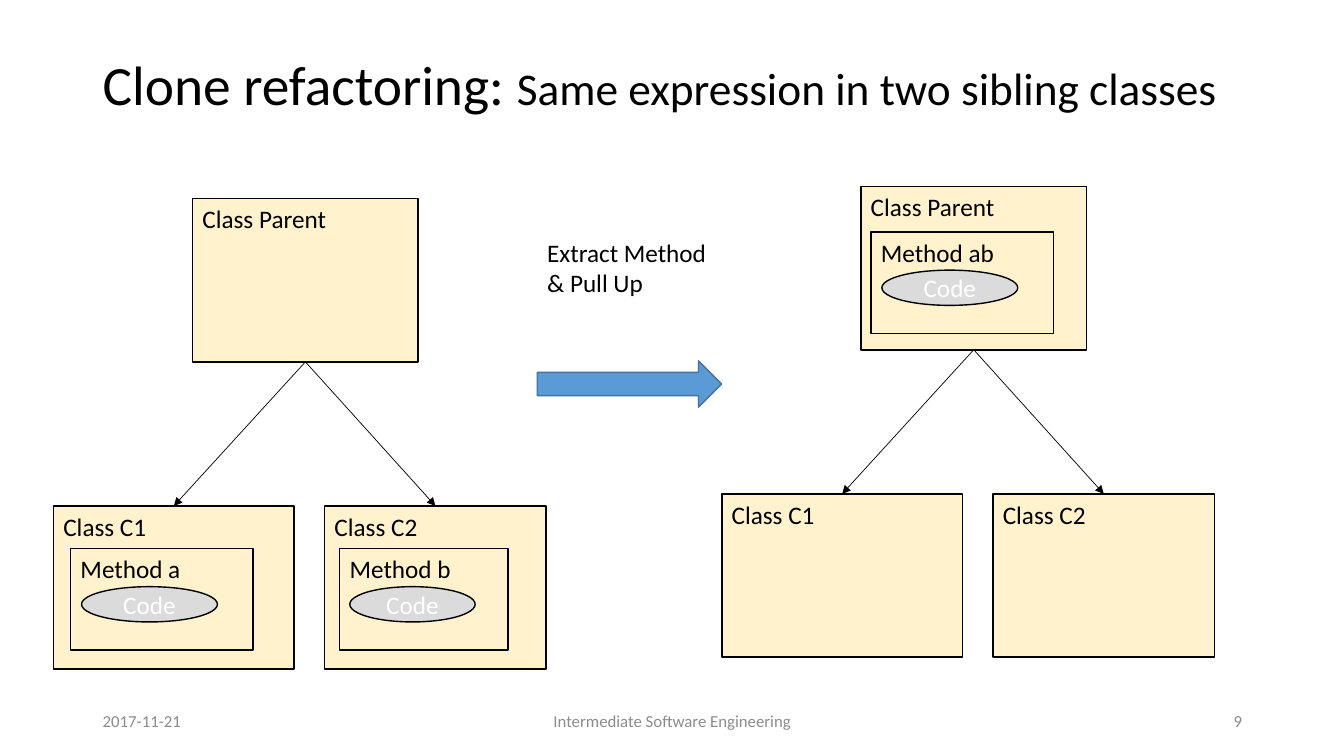
"""Draw a clone refactoring slide on a grid of tenths of an inch."""
from dataclasses import dataclass

from lxml import etree
from pptx import Presentation
from pptx import util as u
from pptx.dml.color import RGBColor
from pptx.enum import shapes, text
from pptx.oxml.ns import qn

COLS, ROWS = 133.33, 75
CREAM, GREY, BLACK, WHITE = "FFF2CC", "DBDBDB", "000000", "FFFFFF"
KIND, ALIGN, ANCHOR = shapes.MSO_SHAPE, text.PP_ALIGN, text.MSO_ANCHOR


@dataclass
class Box:
    """A place on the grid, in columns and rows."""
    col: float
    row: float
    wide: float
    high: float

    def move(self, col: float, row: float) -> "Box":
        """Return the same box shifted on the grid."""
        return Box(self.col + col, self.row + row, self.wide, self.high)

    def emu(self) -> list[int]:
        """Return left, top, width and height as lengths."""
        return [cells(n) for n in (self.col, self.row, self.wide, self.high)]


@dataclass
class Method:
    """A method frame, placed from the corner of its tree."""
    name: str
    box: Box


@dataclass
class Tree:
    """A parent class, two children and the methods they hold."""
    col: float
    row: float
    methods: list[Method]


@dataclass
class Note:
    """Plain text in a box."""
    words: str
    box: Box
    size: float
    hue: str = BLACK
    align: ALIGN = ALIGN.LEFT
    anchor: ANCHOR = ANCHOR.MIDDLE


PARENT = Box(13.8, 0, 22.4, 16.2)
KIDS = {"Class C1": Box(0, 30.5, 23.9, 16.2), "Class C2": Box(26.9, 30.5, 22, 16.2)}
TREES = [
    Tree(5.3, 19.7, [Method("Method a", Box(1.7, 34.7, 18.1, 10.1)),
                     Method("Method b", Box(28.4, 34.7, 16.7, 10.1))]),
    Tree(71.6, 18.5, [Method("Method ab", Box(14.8, 4.5, 18.1, 10.1))]),
]
NOTES = [
    Note("Extract Method & Pull Up", Box(53.3, 23, 19.3, 7.1), 18, anchor=ANCHOR.TOP),
    Note("2017-11-21", Box(9.2, 69.5, 30, 4), 12, "8C8C8C"),
    Note("Intermediate Software Engineering", Box(44.2, 69.5, 45, 4), 12, "8C8C8C", ALIGN.CENTER),
    Note("9", Box(94.2, 69.5, 30, 4), 12, "8C8C8C", ALIGN.RIGHT),
]


def cells(count: float) -> int:
    """Turn grid cells into a length."""
    return u.Inches(count / 10)


def tint(code: str) -> RGBColor:
    """Turn a hex string into a colour."""
    return RGBColor.from_string(code)


def style(run, size: float, hue: str) -> None:
    """Set the font of a run."""
    run.font.name, run.font.size = "Calibri", u.Pt(size)
    run.font.color.rgb = tint(hue)


def write(shape, note: Note) -> None:
    """Put the words of a note into a shape."""
    frame = shape.text_frame
    frame.word_wrap, frame.vertical_anchor = True, note.anchor
    frame.text = note.words
    para = frame.paragraphs[0]
    para.alignment = note.align
    style(para.runs[0], note.size, note.hue)


def block(slide, kind: KIND, box: Box, fill: str | None, line: str, width: float):
    """Add a preset shape with a fill and an outline."""
    shape = slide.shapes.add_shape(kind, *box.emu())
    shape.shadow.inherit = False
    if fill:
        shape.fill.solid()
        shape.fill.fore_color.rgb = tint(fill)
    else:
        shape.fill.background()
    shape.line.color.rgb, shape.line.width = tint(line), u.Pt(width)
    return shape


def frame(slide, name: str, box: Box, fill: str | None, width: float):
    """Add a named rectangle for a class or a method."""
    shape = block(slide, KIND.RECTANGLE, box, fill, BLACK, width)
    write(shape, Note(name, box, 18, anchor=ANCHOR.TOP))
    return shape


def link(slide, top, kid) -> None:
    """Join a parent to a child with an arrow."""
    line = slide.shapes.add_connector(shapes.MSO_CONNECTOR.STRAIGHT, 0, 0, 0, 0)
    line.begin_connect(top, 2)
    line.end_connect(kid, 0)
    line.line.color.rgb, line.line.width = tint(BLACK), u.Pt(0.5)
    etree.SubElement(line.line._get_or_add_ln(), qn("a:tailEnd"), type="triangle")
    etree.SubElement(line._element.spPr, qn("a:effectLst"))


def draw(slide, tree: Tree) -> None:
    """Draw one class tree."""
    top = frame(slide, "Class Parent", PARENT.move(tree.col, tree.row), CREAM, 1.25)
    for name, box in KIDS.items():
        link(slide, top, frame(slide, name, box.move(tree.col, tree.row), CREAM, 1.25))
    for method in tree.methods:
        box = method.box.move(tree.col, tree.row)
        frame(slide, method.name, box, None, 1)
        oval = Box(box.col + 0.06 * box.wide, box.row + 3.8, 0.745 * box.wide, 3.5)
        code = block(slide, KIND.OVAL, oval, GREY, BLACK, 1)
        write(code, Note("Code", oval, 18, WHITE, ALIGN.CENTER))


def head(slide) -> None:
    """Add the title in two sizes."""
    body = slide.shapes.add_textbox(*Box(9.2, 4, 115, 14.5).emu()).text_frame
    body.word_wrap, body.vertical_anchor = True, ANCHOR.MIDDLE
    body.margin_bottom = cells(5.6)
    para = body.paragraphs[0]
    para.line_spacing = 0.9
    for words, size in (("Clone refactoring: ", 39.6),
                        ("Same expression in two sibling classes", 32.4)):
        run = para.add_run()
        run.text = words
        style(run, size, BLACK)


def main() -> None:
    """Build and save the slide."""
    deck = Presentation()
    deck.slide_width, deck.slide_height = cells(COLS), cells(ROWS)
    slide = deck.slides.add_slide(deck.slide_layouts[6])
    head(slide)
    for tree in TREES:
        draw(slide, tree)
    block(slide, KIND.RIGHT_ARROW, Box(53.3, 35.8, 18.3, 4.6), "5B9BD5", "43739E", 1)
    for note in NOTES:
        write(slide.shapes.add_textbox(*note.box.emu()), note)
    deck.save("out.pptx")


if __name__ == "__main__":
    main()
